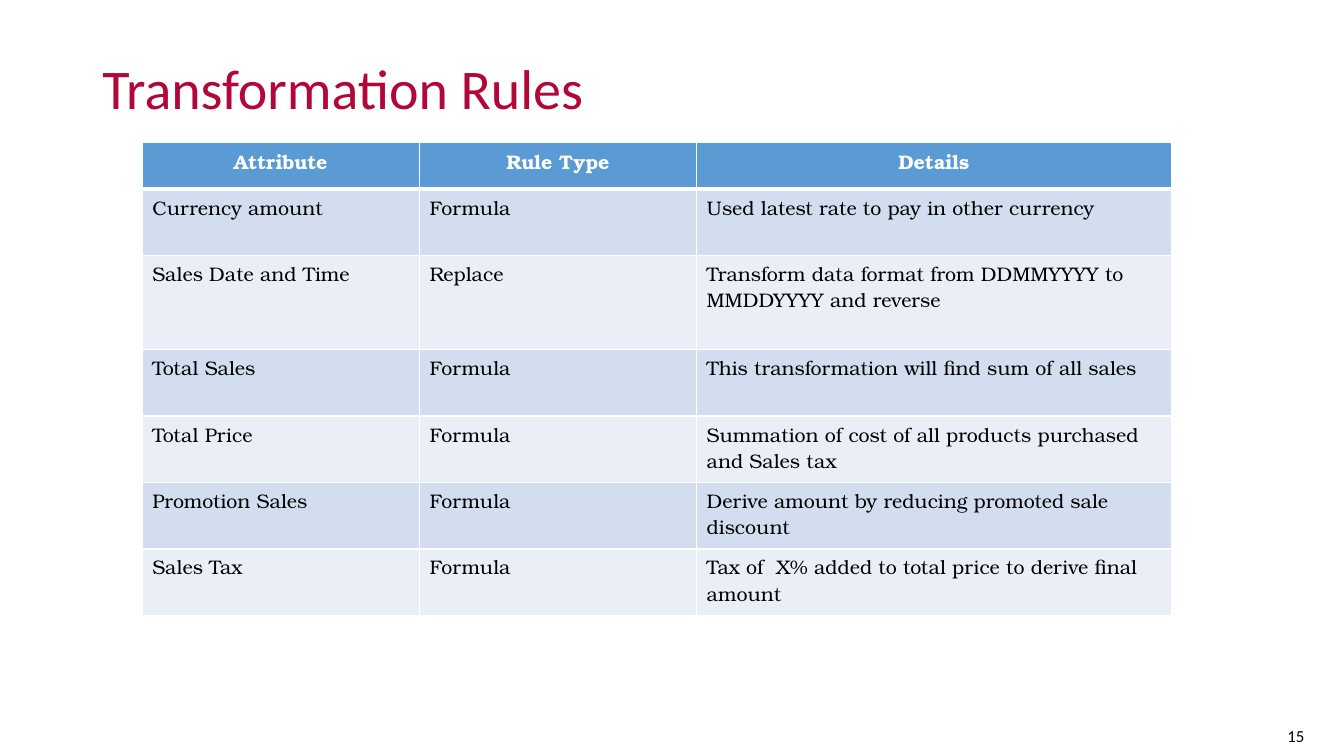
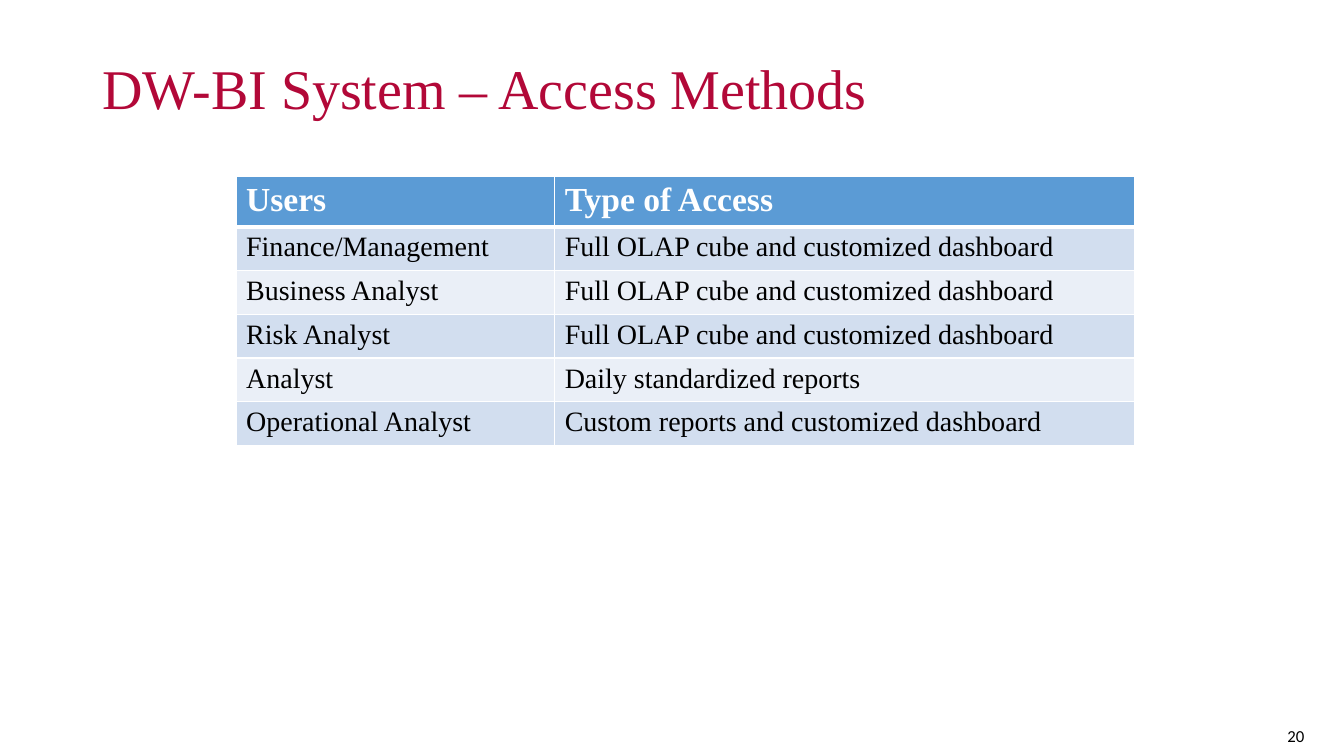
from lxml import etree
from pptx import Presentation
from pptx.dml.color import RGBColor
from pptx.enum.text import MSO_ANCHOR, MSO_AUTO_SIZE, PP_ALIGN
from pptx.oxml.ns import qn
from pptx.util import Pt

MIDDLE = MSO_ANCHOR.MIDDLE
NO_FIT = MSO_AUTO_SIZE.NONE
LEFT, CENTER, RIGHT = PP_ALIGN.LEFT, PP_ALIGN.CENTER, PP_ALIGN.RIGHT

CRIMSON = RGBColor(0xB2, 0x08, 0x38)
BLUE = RGBColor(0x5B, 0x9B, 0xD5)
BANDS = RGBColor(0xD2, 0xDE, 0xEF), RGBColor(0xEA, 0xEF, 0xF7)
WHITE = RGBColor(0xFF, 0xFF, 0xFF)
BLACK = RGBColor(0, 0, 0)

SANS, SERIF, BOOK = "Calibri", "Times New Roman", "TeX Gyre Bonum"
TITLE_BOX = 66, 28.8, 828, 72.6
PAGE_BOX = 883.4, 511.2, 55.4, 28.8
THIN, THICK = 1, 3

CUBE = "Full OLAP cube and customized dashboard"

SLIDES = [
    {
        "title": "Transformation Rules", "title_font": SANS, "page": "15",
        "font": BOOK, "head_size": 14, "size": 14, "head_align": CENTER,
        "at": (101.6, 101.6), "cols": [198, 198, 339],
        "heights": [33.6, 47.5, 67, 47.5, 47.5, 47.5, 47.5],
        "rows": [
            ("Attribute", "Rule Type", "Details"),
            ("Currency amount", "Formula",
             "Used latest rate to pay in other currency"),
            ("Sales Date and Time", "Replace",
             "Transform data format from DDMMYYYY to MMDDYYYY and reverse"),
            ("Total Sales", "Formula",
             "This transformation will find sum of all sales"),
            ("Total Price", "Formula",
             "Summation of cost of all products purchased and Sales tax"),
            ("Promotion Sales", "Formula",
             "Derive amount by reducing promoted sale discount"),
            ("Sales Tax", "Formula",
             "Tax of  X% added to total price to derive final amount"),
        ],
    },
    {
        "title": "DW-BI System – Access Methods", "title_font": SERIF,
        "page": "20",
        "font": SERIF, "head_size": 24, "size": 20, "head_align": LEFT,
        "at": (168.6, 126), "cols": [227.6, 414.2],
        "heights": [29.6] * 6,
        "rows": [
            ("Users", "Type of Access"),
            ("Finance/Management", CUBE),
            ("Business Analyst", CUBE),
            ("Risk Analyst", CUBE),
            ("Analyst", "Daily standardized reports"),
            ("Operational Analyst", "Custom reports and customized dashboard"),
        ],
    },
]


def write(frame, text, font, size, color, align=LEFT, bold=False):
    para = frame.paragraphs[0]
    para.alignment = align
    run = para.add_run()
    run.text = text
    run.font.name = font
    run.font.size = Pt(size)
    run.font.bold = bold
    run.font.color.rgb = color
    return para


def add_title(slide, text, font):
    title = slide.shapes.title
    title.left, title.top, title.width, title.height = map(Pt, TITLE_BOX)
    frame = title.text_frame
    frame.auto_size = NO_FIT
    frame.vertical_anchor = MIDDLE
    write(frame, text, font, 40, CRIMSON).line_spacing = 0.9


def add_page(slide, number):
    frame = slide.shapes.add_textbox(*map(Pt, PAGE_BOX)).text_frame
    frame.word_wrap = True
    frame.vertical_anchor = MIDDLE
    write(frame, number, SANS, 12, BLACK, RIGHT)


def set_edges(cell, top, bottom):
    """Draw white borders; top and bottom are widths in points."""
    props = cell._tc.get_or_add_tcPr()
    edges = {"lnL": THIN, "lnR": THIN, "lnT": top, "lnB": bottom}
    for tag, width in edges.items():
        line = etree.SubElement(props, qn("a:" + tag), w=str(Pt(width)))
        fill = etree.SubElement(line, qn("a:solidFill"))
        etree.SubElement(fill, qn("a:srgbClr"), val=str(WHITE))


def add_grid(slide, data):
    rows, cols, heights = data["rows"], data["cols"], data["heights"]
    size = sum(cols), sum(heights)
    table = slide.shapes.add_table(
        len(rows), len(cols), *map(Pt, data["at"] + size)).table
    for col, width in zip(table.columns, cols):
        col.width = Pt(width)
    for r, texts in enumerate(rows):
        table.rows[r].height = Pt(heights[r])
        head = r == 0
        for c, text in enumerate(texts):
            cell = table.cell(r, c)
            set_edges(cell, THICK if r == 1 else THIN, THICK if head else THIN)
            cell.fill.solid()
            cell.fill.fore_color.rgb = BLUE if head else BANDS[(r - 1) % 2]
            write(cell.text_frame, text, data["font"],
                  data["head_size"] if head else data["size"],
                  WHITE if head else BLACK,
                  data["head_align"] if head else LEFT, head)


def main():
    deck = Presentation()
    deck.slide_width, deck.slide_height = Pt(960), Pt(540)
    layout = deck.slide_layouts.get_by_name("Title Only")
    for data in SLIDES:
        slide = deck.slides.add_slide(layout)
        add_page(slide, data["page"])
        add_title(slide, data["title"], data["title_font"])
        add_grid(slide, data)
    deck.save("out.pptx")


if __name__ == "__main__":
    main()
